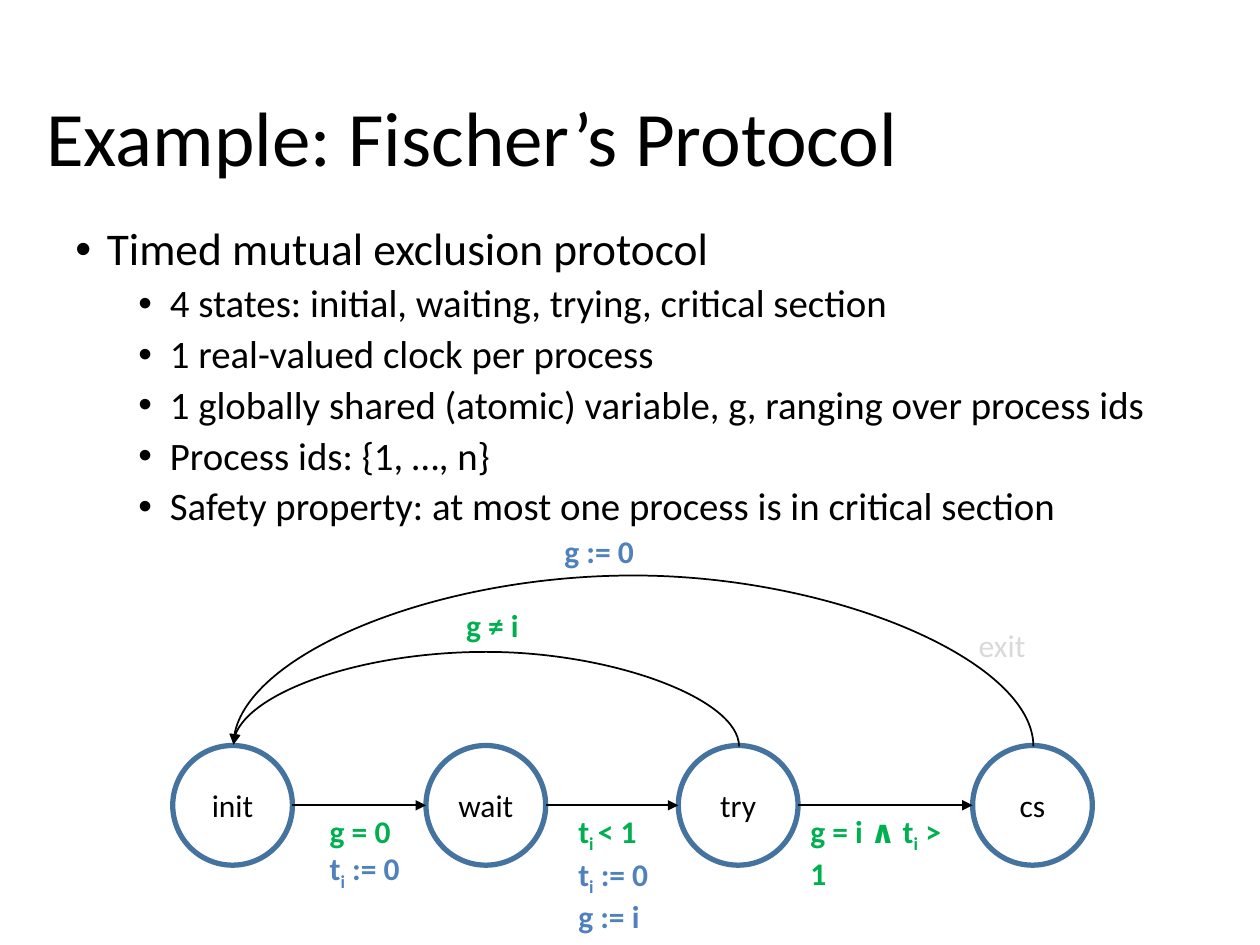
from dataclasses import dataclass

import pptx
import pptx.dml.color
import pptx.enum.shapes
import pptx.enum.text
import pptx.oxml.ns
import pptx.util
from lxml import etree

Pt = pptx.util.Pt
Color = pptx.dml.color.RGBColor
Anchor = pptx.enum.text.MSO_ANCHOR
Connector = pptx.enum.shapes.MSO_CONNECTOR


@dataclass(frozen=True)
class Theme:
    font: str = "Calibri"
    ink: str = "000000"
    ring: str = "43739E"
    guard: str = "00B050"
    action: str = "4F81BD"
    faint: str = "D9D9D9"
    title_size: float = 44
    topic_size: float = 25.9
    detail_size: float = 22.2
    label_size: float = 18


THEME = Theme()


@dataclass(frozen=True)
class Span:
    text: str
    color: str = THEME.ink
    size: float = THEME.label_size
    bold: bool = False
    subscript: bool = False


@dataclass(frozen=True)
class Label:
    left: float
    top: float
    width: float
    height: float
    lines: list[list[Span]]
    wrap: bool = False


@dataclass(frozen=True)
class State:
    name: str
    left: float


@dataclass(frozen=True)
class Arc:
    """A return transition that rises above the row of states."""
    source: int
    target: int
    rise: float


def guard(text: str, subscript: bool = False) -> Span:
    return Span(text, THEME.guard, bold=True, subscript=subscript)


def action(text: str, subscript: bool = False) -> Span:
    return Span(text, THEME.action, bold=True, subscript=subscript)


DIAMETER = 68.4
STATE_TOP = 426
STATE_MIDDLE = STATE_TOP + DIAMETER / 2
STATES = [State("init", 98.7), State("wait", 243.4), State("try", 387.6), State("cs", 555.8)]
ARCS = [Arc(2, 0, 54.4), Arc(3, 0, 98.4)]
RESET_CLOCK = [action("t"), action("i", True), action(" := 0")]
LABELS = [
    Label(315.4, 300.3, 54.7, 28.8, [[action("g := 0")]]),
    Label(259.2, 342.9, 44.6, 28.8, [[guard("g ≠ i")]]),
    Label(181.3, 460.2, 56.9, 51, [[guard("g = 0")], RESET_CLOCK]),
    Label(323.4, 460.2, 55.5, 72.7, [
        [guard("t"), guard("i ", True), guard("< 1")], RESET_CLOCK, [action("g := i")]]),
    Label(456, 460.2, 100, 28.8, [
        [guard("g = i ∧ t"), guard("i", True), guard(" > 1")]], wrap=True),
    Label(552.2, 354.3, 41.8, 28.8, [[Span("exit", THEME.faint)]]),
]
TOPIC = "Timed mutual exclusion protocol"
DETAILS = [
    "4 states: initial, waiting, trying, critical section",
    "1 real-valued clock per process",
    "1 globally shared (atomic) variable, g, ranging over process ids",
    "Process ids: {1, …, n}",
    "Safety property: at most one process is in critical section",
]


def write(para, spans: list[Span]) -> None:
    for item in spans:
        span = para.add_run()
        span.text = item.text
        span.font.name = THEME.font
        span.font.size = Pt(item.size)
        span.font.bold = item.bold
        span.font.color.rgb = Color.from_string(item.color)
        if item.subscript:
            span._r.get_or_add_rPr().set("baseline", "-25000")


def add_paragraph(frame, first: bool):
    return frame.paragraphs[0] if first else frame.add_paragraph()


def add_label(page, label: Label) -> None:
    box = page.shapes.add_textbox(
        Pt(label.left), Pt(label.top), Pt(label.width), Pt(label.height))
    box.text_frame.word_wrap = label.wrap
    for index, line in enumerate(label.lines):
        write(add_paragraph(box.text_frame, index == 0), line)


def add_title(page) -> None:
    box = page.shapes.add_textbox(Pt(19.4), Pt(28.8), Pt(682.6), Pt(104.4))
    box.text_frame.word_wrap = True
    box.text_frame.vertical_anchor = Anchor.MIDDLE
    para = box.text_frame.paragraphs[0]
    para.line_spacing = 0.9
    write(para, [Span("Example: Fischer’s Protocol", size=THEME.title_size)])


def add_bullets(page) -> None:
    box = page.shapes.add_textbox(Pt(36), Pt(126), Pt(648), Pt(180))
    box.text_frame.word_wrap = True
    for index, text in enumerate([TOPIC, *DETAILS]):
        first = index == 0
        para = add_paragraph(box.text_frame, first)
        para.level = 0 if first else 1
        properties = para._p.get_or_add_pPr()
        properties.set("marL", str(Pt(18 if first else 54)))
        properties.set("indent", str(Pt(-18)))
        etree.SubElement(properties, pptx.oxml.ns.qn("a:buFont")).set("typeface", "Arial")
        etree.SubElement(properties, pptx.oxml.ns.qn("a:buChar")).set("char", "•")
        para.line_spacing = 0.9
        para.space_before = Pt(0 if first else 5)
        write(para, [Span(text, size=THEME.topic_size if first else THEME.detail_size)])


def add_state(page, state: State) -> None:
    circle = page.shapes.add_shape(
        pptx.enum.shapes.MSO_SHAPE.OVAL,
        Pt(state.left), Pt(STATE_TOP), Pt(DIAMETER), Pt(DIAMETER))
    circle.shadow.inherit = False
    circle.fill.background()
    circle.line.color.rgb = Color.from_string(THEME.ring)
    circle.line.width = Pt(3)
    frame = circle.text_frame
    frame.vertical_anchor = Anchor.MIDDLE
    frame.paragraphs[0].alignment = pptx.enum.text.PP_ALIGN.CENTER
    write(frame.paragraphs[0], [Span(state.name)])


def add_arrow(page, kind, start: tuple[float, float], end: tuple[float, float]):
    arrow = page.shapes.add_connector(kind, *map(Pt, start + end))
    arrow.line.color.rgb = Color.from_string(THEME.ink)
    arrow.line.width = Pt(1)
    line = arrow.line._get_or_add_ln()
    etree.SubElement(line, pptx.oxml.ns.qn("a:tailEnd")).set("type", "triangle")
    etree.SubElement(arrow._element.spPr, pptx.oxml.ns.qn("a:effectLst"))
    return arrow


def add_arc(page, arc: Arc) -> None:
    """Turn a one-point-wide curved connector a quarter left, so its bend points up."""
    right, left = (STATES[i].left + DIAMETER / 2 for i in (arc.source, arc.target))
    span, middle = right - left, (left + right) / 2
    top = STATE_TOP - span / 2
    arrow = add_arrow(page, Connector.CURVE, (middle, top), (middle + 1, top + span))
    frame = arrow._element.spPr.find(pptx.oxml.ns.qn("a:xfrm"))
    frame.set("rot", str(270 * 60000))
    frame.set("flipV", "1")
    guides = arrow._element.spPr.find(pptx.oxml.ns.qn("a:prstGeom")).get_or_add_avLst()
    bend = etree.SubElement(guides, pptx.oxml.ns.qn("a:gd"))
    bend.set("name", "adj1")
    bend.set("fmla", f"val {round(arc.rise * 100000)}")


def main() -> None:
    deck = pptx.Presentation()
    deck.slide_width, deck.slide_height = Pt(720), Pt(540)
    page = deck.slides.add_slide(deck.slide_layouts[6])
    add_title(page)
    add_bullets(page)
    for state in STATES:
        add_state(page, state)
    for source, target in zip(STATES, STATES[1:]):
        add_arrow(page, Connector.STRAIGHT,
                  (source.left + DIAMETER, STATE_MIDDLE), (target.left, STATE_MIDDLE))
    for arc in ARCS:
        add_arc(page, arc)
    for label in LABELS:
        add_label(page, label)
    deck.save("out.pptx")


if __name__ == "__main__":
    main()
